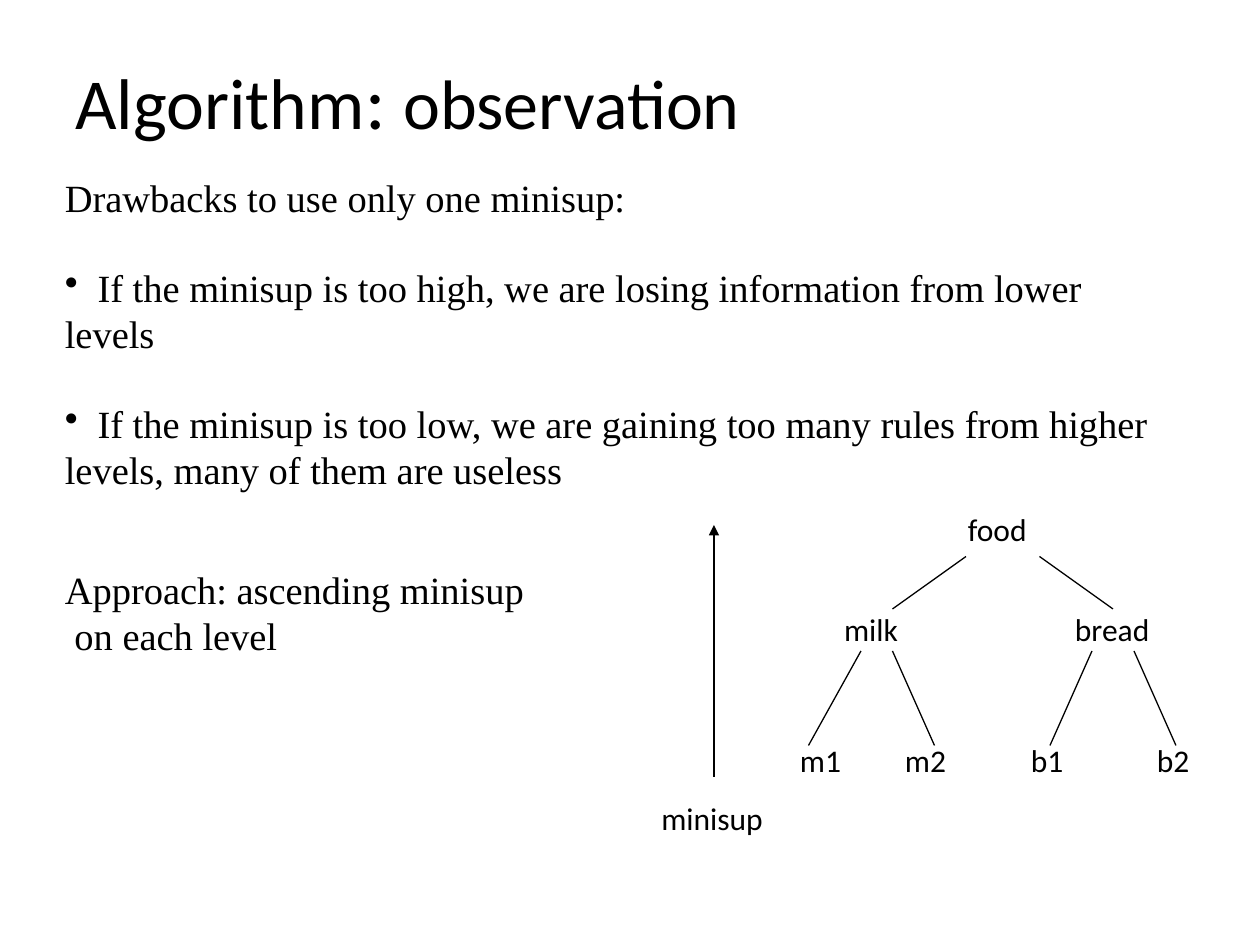
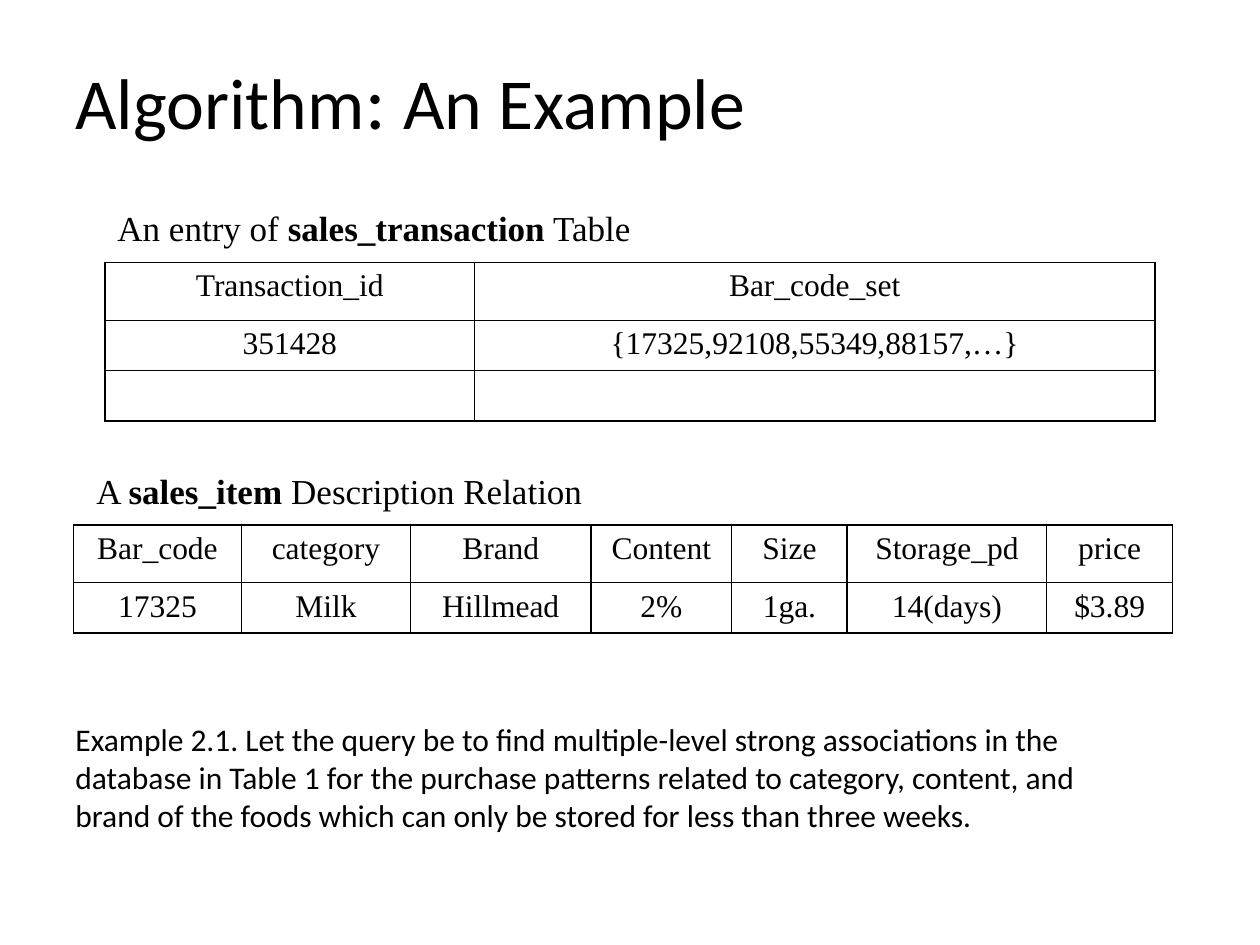
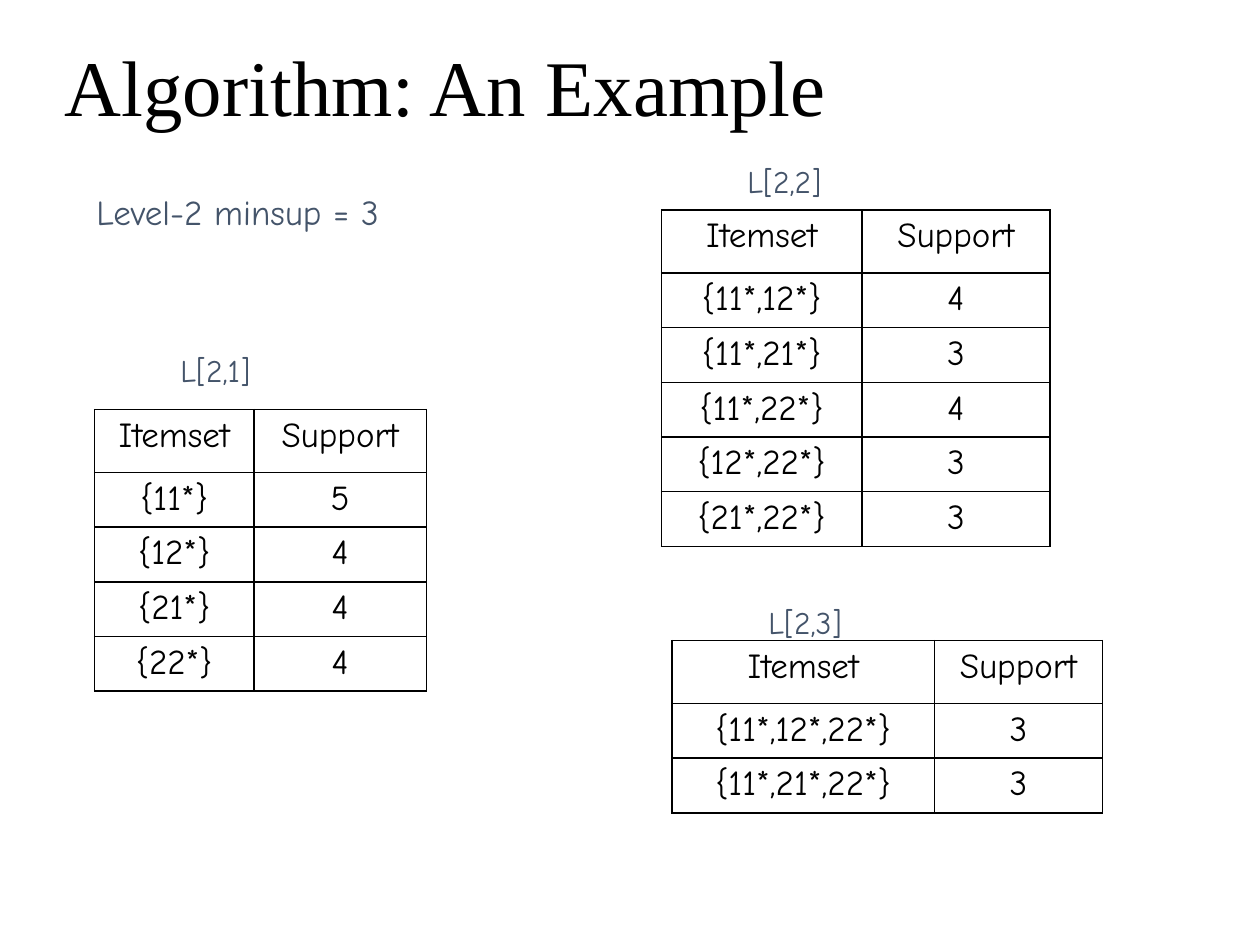
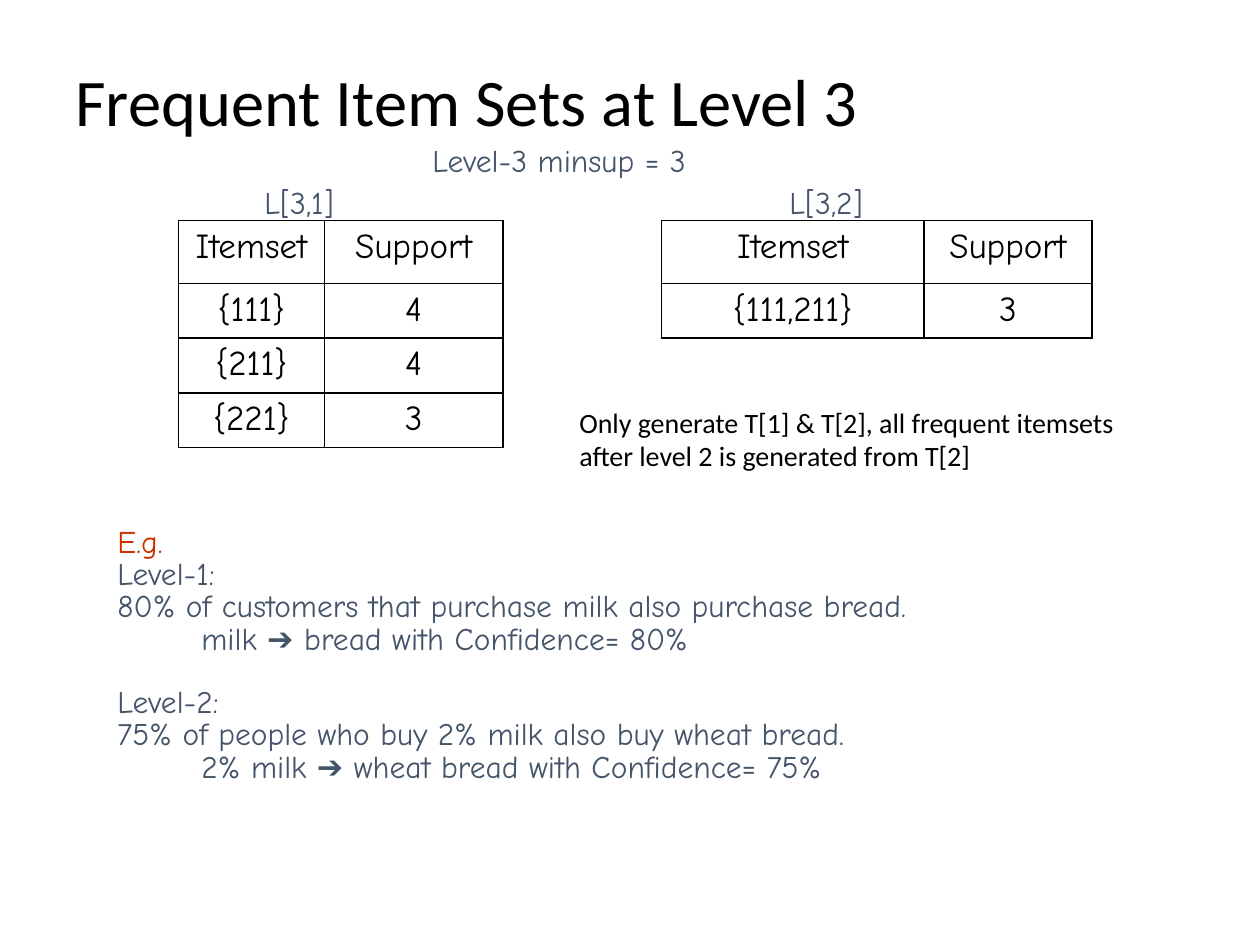
from dataclasses import dataclass
from pptx import Presentation
from pptx.dml.color import RGBColor as RGB
from pptx.enum.shapes import MSO_CONNECTOR as CONNECTOR
from pptx.enum.text import MSO_ANCHOR as ANCHOR, MSO_AUTO_SIZE as AUTO_SIZE, PP_ALIGN as ALIGN
from pptx.oxml import parse_xml
from pptx.oxml.ns import nsdecls
from pptx.util import Inches, Pt


@dataclass(frozen=True)
class Theme:
    black: str = "000000"
    slate: str = "44546A"
    red: str = "CC3300"
    sans: str = "Calibri"
    serif: str = "Times New Roman"
    comic: str = "Comic Neue"
    note: int = 16
    label: int = 18
    caption: int = 20
    body: int = 22
    heading: int = 41


theme = Theme()
UNIT = Inches(1) / 12  # the slide is a grid of 120 columns by 90 rows
TITLE_BOX = (6, 4, 108, 12)
TAG_SIZE = (17, 5)
LEVEL_SIZE = (37, 5)

SANS = {"name": theme.sans, "size": theme.label, "color": theme.black}
TITLE = SANS | {"size": theme.heading}
NOTE = SANS | {"size": theme.note}
BODY = SANS | {"name": theme.serif, "size": theme.body}
CAPTION = BODY | {"size": theme.caption}
SERIF_CELL = BODY | {"size": theme.label}
COMIC_CELL = SANS | {"name": theme.comic, "size": theme.caption}
TAG = COMIC_CELL | {"size": theme.label, "color": theme.slate}

MIDDLE = {"word_wrap": True, "vertical_anchor": ANCHOR.MIDDLE}
GROW = {"word_wrap": True, "auto_size": AUTO_SIZE.SHAPE_TO_FIT_TEXT}
UNWRAPPED = GROW | {"word_wrap": False}

presentation = Presentation()
presentation.slide_width = round(120 * UNIT)
presentation.slide_height = round(90 * UNIT)
blank = presentation.slide_layouts[6]


def write(frame, paragraphs, style, frame_format, paragraph_format):
    """Fill a text frame; a paragraph is a string or a list of (text, style changes)."""
    for name, value in frame_format.items():
        setattr(frame, name, value)
    for index, runs in enumerate(paragraphs):
        paragraph = frame.add_paragraph() if index else frame.paragraphs[0]
        for name, value in paragraph_format.items():
            setattr(paragraph, name, value)
        for text, changes in [(runs, {})] if isinstance(runs, str) else runs:
            run = paragraph.add_run()
            run.text = text
            values = style | changes
            run.font.color.rgb = RGB.from_string(values["color"])
            for name, value in values.items():
                if name != "color":
                    setattr(run.font, name, Pt(value) if name == "size" else value)
    return frame


def add_table(slide, left, top, columns, rows, style):
    """Add a bordered table; column widths are in grid units."""
    header, line = (5.5, 4.53) if style["size"] == theme.label else (6, 5.05)
    heights = [header] + [line] * (len(rows) - 1)
    box = [round(n * UNIT) for n in (left, top, sum(columns), sum(heights))]
    table = slide.shapes.add_table(len(rows), len(columns), *box).table
    table.first_row = table.horz_banding = False
    for column, width in zip(table.columns, columns):
        column.width = round(width * UNIT)
    for row, height, texts in zip(table.rows, heights, rows):
        row.height = round(height * UNIT)
        for cell, text in zip(row.cells, texts):
            write(cell.text_frame, [text], style, {}, {"alignment": ALIGN.CENTER})
            cell.fill.background()
            properties = cell._tc.get_or_add_tcPr()
            for index, side in enumerate("LRTB"):
                properties.insert(index, parse_xml(
                    f'<a:ln{side} {nsdecls("a")} w="12700"><a:solidFill>'
                    f'<a:srgbClr val="{theme.black}"/></a:solidFill></a:ln{side}>'))


slides = [presentation.slides.add_slide(blank) for _ in range(4)]
observation, example, level_two, level_three = slides

# Text boxes: slide, box, paragraphs, style, frame format, line spacing
example_title = [[("Algorithm", {}), (": ", {"size": 44}), ("An Example", {})]]
observation_title = [[("Algorithm", {}), (": ", {"size": 44}), ("observation", {"size": 40})]]
texts = [
    # Titles
    (observation, TITLE_BOX, observation_title, TITLE, MIDDLE, 0.9),
    (example, TITLE_BOX, example_title, TITLE, MIDDLE, 0.9),
    (level_two, (5, 3, 97, 15), ["Algorithm: An Example"],
     BODY | {"size": 45}, {"word_wrap": True}, 1.0),
    (level_three, TITLE_BOX, ["Frequent Item Sets at Level 3"],
     TITLE | {"size": 38}, MIDDLE, 0.9),
    # Approach
    (observation, (5, 53.3, 46.2, 10), ["Approach: ascending minisup", " on each level"],
     BODY, UNWRAPPED, 1.0),
    # Table captions and example
    (example, (10, 18, 93, 8),
     [[("An entry of ", {}), ("sales_transaction", {"bold": True}), (" Table", {})]],
     CAPTION, MIDDLE, 0.85),
    (example, (8, 43, 69, 8),
     [[("A ", {}), ("sales_item ", {"bold": True}), ("Description Relation", {})]],
     CAPTION, MIDDLE, 0.85),
    (example, (6, 68, 104, 12.1),
     ["Example 2.1. Let the query be to find multiple-level strong associations in the "
      "database in Table 1 for the purchase patterns related to category, content, and "
      "brand of the foods which can only be stored for less than three weeks."],
     SANS, GROW, 1.0),
    # Level thresholds and itemset tags
    (level_two, (8, 18, *LEVEL_SIZE), ["Level-2 minsup = 3"],
     TAG | {"size": theme.caption}, MIDDLE, 0.85),
    (level_two, (16, 33, *TAG_SIZE), ["L[2,1]"], TAG, MIDDLE, 0.85),
    (level_two, (70, 15, *TAG_SIZE), ["L[2,2]"], TAG, MIDDLE, 0.85),
    (level_two, (72, 57, *TAG_SIZE), ["L[2,3]"], TAG, MIDDLE, 0.85),
    (level_three, (40, 13, *LEVEL_SIZE), ["Level-3 minsup = 3"], TAG, MIDDLE, 0.85),
    (level_three, (24, 17, *TAG_SIZE), ["L[3,1]"], TAG, MIDDLE, 0.85),
    (level_three, (74, 17, *TAG_SIZE), ["L[3,2]"], TAG, MIDDLE, 0.85),
    (level_three, (54, 38, 58.6, 7.7),
     ["Only generate T[1] & T[2], all frequent itemsets",
      "after level 2 is generated from T[2]"], NOTE, UNWRAPPED, 1.0),
    # Drawbacks and rules, whose paragraphs are spaced below
    (observation, (5, 16, 107, 32),
     ["Drawbacks to use only one minisup:",
      "\tIf the minisup is too high, we are losing information from lower levels",
      "\tIf the minisup is too low, we are gaining too many rules from higher levels, "
      "many of them are useless"], BODY, GROW, 1.0),
    (level_three, (10, 48, 104, 29),
     [[("E.g.", {"color": theme.red})],
      "Level-1:",
      "80% of customers that purchase milk also purchase bread.",
      "milk ➔ bread with Confidence= 80%",
      "Level-2:",
      "75% of people who buy 2% milk also buy wheat bread.",
      "2% milk ➔ wheat bread with Confidence= 75%"], TAG, MIDDLE, 0.85),
]
# Tree labels: text, left, top, width
for text, left, top, width in [
        ("food", 91, 48, 8.3), ("milk", 79.2, 57.5, 7.8), ("bread", 101.2, 57.5, 10.1),
        ("m1", 75, 70, 6.6), ("m2", 85, 70, 6.6), ("b1", 97, 70, 5.8),
        ("b2", 109, 70, 5.8), ("minisup", 61.8, 75.5, 12.7)]:
    texts.append((observation, (left, top, width, 4.8), [text], SANS, UNWRAPPED, 1.0))

frames = []
for slide, box, paragraphs, style, frame_format, spacing in texts:
    shape = slide.shapes.add_textbox(*[round(n * UNIT) for n in box])
    frames.append(write(shape.text_frame, paragraphs, style, frame_format,
                        {"line_spacing": spacing}))

# Bullets of the drawbacks
drawbacks = next(f for f in frames if f.text.startswith("Drawbacks"))
for paragraph in drawbacks.paragraphs[1:]:
    paragraph.space_before = Pt(25)
    properties = paragraph._p.get_or_add_pPr()
    properties.set("marL", "0")
    properties.set("indent", "0")
    properties.append(parse_xml(f'<a:buChar {nsdecls("a")} char="•"/>'))
    properties.append(parse_xml(
        f'<a:tabLst {nsdecls("a")}><a:tab pos="{Inches(0.26)}" algn="l"/></a:tabLst>'))

# Indents and gap of the rules
rules = next(f for f in frames if f.text.startswith("E.g."))
for paragraph in rules.paragraphs:
    if "➔" in paragraph.text:
        paragraph._p.get_or_add_pPr().set("marL", str(round(8 * UNIT)))
    if paragraph.text == "Level-2:":
        paragraph.space_before = Pt(18)

# Tree branches and the minisup arrow: x and y of both ends
arrow = (68, 74, 68, 50)
branches = [(92, 53, 85, 58), (99, 53, 106, 58), (82, 62, 77, 71),
            (85, 62, 89, 71), (104, 62, 100, 71), (108, 62, 112, 71)]
for ends in branches + [arrow]:
    connector = observation.shapes.add_connector(
        CONNECTOR.STRAIGHT, *[round(n * UNIT) for n in ends])
    connector.line.color.rgb = RGB.from_string(theme.black)
    connector.line.width = Pt(0.75)
    if ends == arrow:
        connector.line._get_or_add_ln().append(
            parse_xml(f'<a:tailEnd {nsdecls("a")} type="triangle"/>'))
    connector._element.spPr.append(parse_xml(f'<a:effectLst {nsdecls("a")}/>'))

# Sales tables
add_table(example, 10, 25, [35.2, 64.8],
          [["Transaction_id", "Bar_code_set"],
           ["351428", "{17325,92108,55349,88157,…}"],
           ["", ""]], SERIF_CELL)
add_table(example, 7, 50, [16, 16.1, 17.2, 13.4, 11, 19, 12],
          [["Bar_code", "category", "Brand", "Content", "Size", "Storage_pd", "price"],
           ["17325", "Milk", "Hillmead", "2%", "1ga.", "14(days)", "$3.89"]], SERIF_CELL)

# Itemset tables: slide, left, top, column widths, support of each itemset
for slide, left, top, columns, supports in [
        (level_two, 9, 39, [15.2, 16.4],
         {"{11*}": "5", "{12*}": "4", "{21*}": "4", "{22*}": "4"}),
        (level_two, 63, 20, [19.1, 17.9],
         {"{11*,12*}": "4", "{11*,21*}": "3", "{11*,22*}": "4",
          "{12*,22*}": "3", "{21*,22*}": "3"}),
        (level_two, 64, 61, [25, 16], {"{11*,12*,22*}": "3", "{11*,21*,22*}": "3"}),
        (level_three, 17, 21, [13.9, 17], {"{111}": "4", "{211}": "4", "{221}": "3"}),
        (level_three, 63, 21, [25, 16], {"{111,211}": "3"})]:
    add_table(slide, left, top, columns,
              [("Itemset", "Support"), *supports.items()], COMIC_CELL)

presentation.save("out.pptx")
